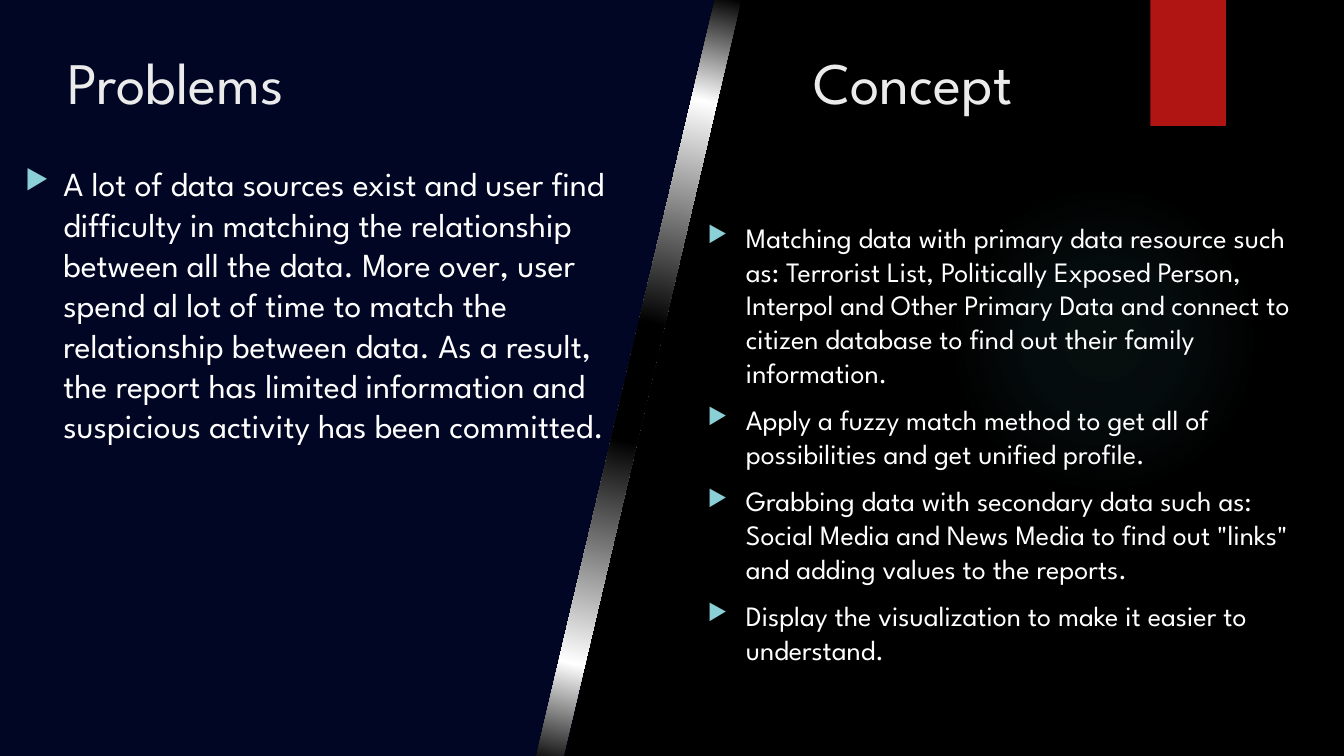
"""Builds the Problems and Concept slide with a slanted divider."""
from lxml import etree
from pptx import Presentation
from pptx.dml.color import RGBColor
from pptx.enum.shapes import MSO_SHAPE
from pptx.enum.text import MSO_ANCHOR
from pptx.oxml import parse_xml
from pptx.oxml.ns import nsdecls, qn
from pptx.util import Inches, Pt

OVAL, RECTANGLE, TOP = MSO_SHAPE.OVAL, MSO_SHAPE.RECTANGLE, MSO_ANCHOR.TOP
FONT = "League Spartan"
COLORS = {"black": "000000", "white": "FFFFFF", "navy": "01082C", "red": "B01513",
          "glow": "50B9C1", "bullet": "8AD0D6", "heading": "EBEBEB"}


def color(name):
    return RGBColor.from_string(COLORS[name])


def fill_radial(shape, stops):
    shape.fill.gradient()
    gradient = shape._element.spPr.find(qn("a:gradFill"))
    stop_xml = "".join(
        f'<a:gs pos="{position * 1000}"><a:srgbClr val="{COLORS[name]}">'
        f'<a:alpha val="{alpha * 1000}"/></a:srgbClr></a:gs>'
        for position, name, alpha in stops)
    gradient.getparent().replace(gradient, parse_xml(
        f'<a:gradFill {nsdecls("a")} rotWithShape="1"><a:gsLst>{stop_xml}</a:gsLst>'
        '<a:path path="circle"><a:fillToRect l="50000" t="50000" r="50000" b="50000"/>'
        '</a:path></a:gradFill>'))


prs = Presentation()
prs.slide_width, prs.slide_height = Inches(13.33), Inches(7.5)
slide = prs.slides.add_slide(prs.slide_layouts[6])
slide.background.fill.solid()
slide.background.fill.fore_color.rgb = color("black")

glow = slide.shapes.add_shape(OVAL, Inches(9.41), Inches(1.83), Inches(3.08), Inches(3.08))
fill_radial(glow, [(0, "glow", 7), (36, "glow", 6), (69, "glow", 0)])
ribbon = slide.shapes.add_shape(RECTANGLE, Inches(11.41), 0, Inches(0.75), Inches(1.25))
ribbon.fill.solid()
ribbon.fill.fore_color.rgb = color("red")

outlines = [
    [(0, -0.08), (7.35, -0.08), (5.6, 7.5), (0, 7.5)],
    [(7.09, 0), (7.35, 0), (5.57, 7.58), (5.3, 7.58)],
]
slanted = []
for outline in outlines:
    corners = [(Inches(x), Inches(y)) for x, y in outline]
    builder = slide.shapes.build_freeform(*corners[0])
    builder.add_line_segments(corners[1:], close=True)
    slanted.append(builder.convert_to_shape())
panel, divider = slanted
panel.fill.solid()
panel.fill.fore_color.rgb = color("navy")
panel_color = panel._element.spPr.find(qn("a:solidFill")).find(qn("a:srgbClr"))
etree.SubElement(panel_color, qn("a:alpha"), val="82000")
fill_radial(divider, [(15, "black", 100), (73, "white", 100), (100, "black", 100)])

for shape in (glow, ribbon, panel, divider):
    shape.line.fill.background()
    shape.shadow.inherit = False

problems = [
    "A lot of data sources exist and user find difficulty in matching the relationship "
    "between all the data. More over, user spend al lot of time to match the relationship "
    "between data. As a result, the report has limited information and suspicious activity "
    "has been committed.",
]
concepts = [
    "Matching data with primary data resource such as: Terrorist List, Politically Exposed "
    "Person, Interpol and Other Primary Data and connect to citizen database to find out "
    "their family information.",
    "Apply a fuzzy match method to get all of possibilities and get unified profile.",
    "Grabbing data with secondary data such as: Social Media and News Media to find out "
    '"links" and adding values to the reports.',
    "Display the visualization to make it easier to understand.",
]
text_blocks = [
    ((0.57, 0.4, 6, 1.09), ["Problems"], 42, "heading", False),
    ((0.15, 1.57, 5.97, 4.59), problems, 24, "white", True),
    ((7.97, 0.4, 3.3, 1.09), ["Concept"], 42, "heading", False),
    ((6.92, 2.14, 6.31, 5.36), concepts, 20, "white", True),
]
for bounds, lines, size, text_color, bulleted in text_blocks:
    frame = slide.shapes.add_textbox(*map(Inches, bounds)).text_frame
    frame.word_wrap = True
    frame.vertical_anchor = TOP
    frame.text = "\n".join(lines)
    for paragraph in frame.paragraphs:
        for attribute, value in {"name": FONT, "size": Pt(size)}.items():
            setattr(paragraph.font, attribute, value)
            setattr(paragraph.runs[0].font, attribute, value)
        paragraph.runs[0].font.color.rgb = color(text_color)
        if bulleted:
            paragraph.space_before = Pt(10)
            properties = paragraph._p.get_or_add_pPr()
            properties.set("marL", str(Inches(0.38)))
            properties.set("indent", str(-Inches(0.38)))
            bullet_parts = [
                f'<a:buClr {nsdecls("a")}><a:srgbClr val="{COLORS["bullet"]}"/></a:buClr>',
                f'<a:buSzPct {nsdecls("a")} val="80000"/>',
                f'<a:buChar {nsdecls("a")} char="▶"/>',
            ]
            defaults = properties.find(qn("a:defRPr"))
            for part in bullet_parts:
                defaults.addprevious(parse_xml(part))

prs.save("out.pptx")
